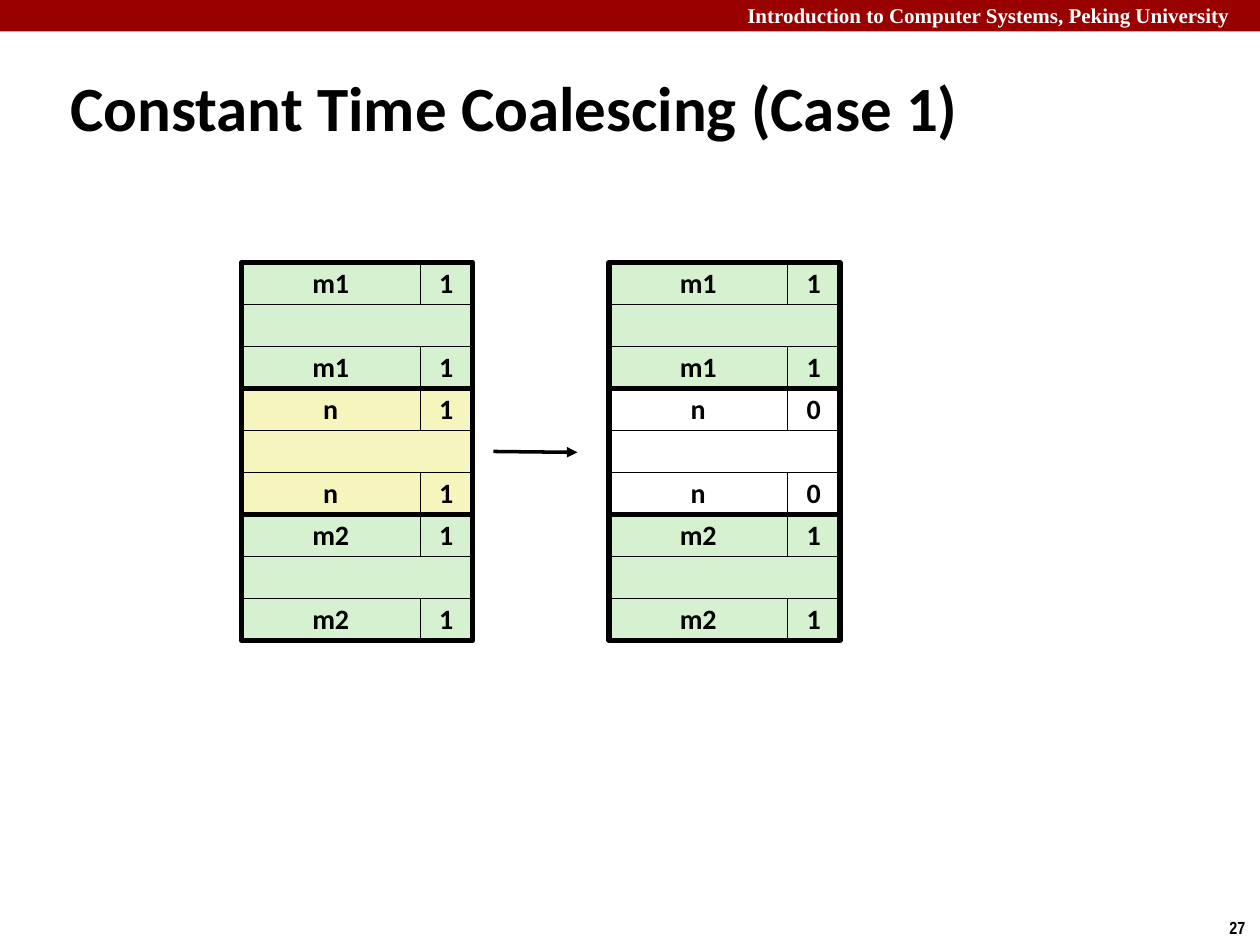
"""Builds the slide on constant time coalescing, case 1."""
import pptx
import pptx.dml.color
import pptx.enum.shapes
import pptx.enum.text
import pptx.oxml
import pptx.oxml.ns
import pptx.util

Pt = pptx.util.Pt
ALIGN = pptx.enum.text.PP_ALIGN
ANCHOR = pptx.enum.text.MSO_ANCHOR

COLORS = {
    "banner": "990000",
    "black": "000000",
    "white": "FFFFFF",
    "neighbour": "D5F1CF",
    "freed": "F6F5BD",
}
ROW_HEIGHT = 24
SIZE_WIDTH = 102
FLAG_WIDTH = 30
BLOCK_WIDTH = SIZE_WIDTH + FLAG_WIDTH
BLOCK_HEIGHT = 3 * ROW_HEIGHT
HEAP_TOP = 150


def color(name):
    """Return the named colour."""
    return pptx.dml.color.RGBColor.from_string(COLORS[name])


def format_paragraph(para, size, font="Calibri", ink="black", align=ALIGN.LEFT):
    """Set the bold font and the alignment of a paragraph."""
    para.alignment = align
    para.font.name = font
    para.font.size = Pt(size)
    para.font.bold = True
    para.font.color.rgb = color(ink)


def add_title(page, text):
    """Place and format the title placeholder."""
    title = page.shapes.title
    title.left, title.top, title.width, title.height = Pt(33), Pt(38), Pt(654), Pt(45)
    frame = title.text_frame
    frame.text = text
    frame.auto_size = pptx.enum.text.MSO_AUTO_SIZE.NONE
    frame.vertical_anchor = ANCHOR.MIDDLE
    format_paragraph(frame.paragraphs[0], 36)


def add_label(page, left, top, width, height, text, size, font, ink="black", wrap=True):
    """Add a text box with one paragraph."""
    box = page.shapes.add_textbox(Pt(left), Pt(top), Pt(width), Pt(height))
    frame = box.text_frame
    frame.word_wrap = wrap
    frame.text = text
    format_paragraph(frame.paragraphs[0], size, font, ink)


def add_rectangle(page, left, top, width, height, fill=None, line_width=None):
    """Add a rectangle, with no fill or no outline where none is given."""
    box = page.shapes.add_shape(
        pptx.enum.shapes.MSO_SHAPE.RECTANGLE, Pt(left), Pt(top), Pt(width), Pt(height))
    box.shadow.inherit = False
    if fill:
        box.fill.solid()
        box.fill.fore_color.rgb = color(fill)
    else:
        box.fill.background()
    if line_width:
        box.line.color.rgb = color("black")
        box.line.width = Pt(line_width)
    else:
        box.line.fill.background()
    return box


def add_cell(page, left, top, width, fill, text=""):
    """Add one thinly outlined cell of a memory block."""
    box = add_rectangle(page, left, top, width, ROW_HEIGHT, fill, 0.25)
    if text:
        frame = box.text_frame
        frame.word_wrap = False
        frame.vertical_anchor = ANCHOR.MIDDLE
        frame.text = text
        para = frame.paragraphs[0]
        para.line_spacing = 0.98
        format_paragraph(para, 16, align=ALIGN.CENTER)


def add_block(page, left, top, size, flag, fill):
    """Add a block with header, payload, footer and a thick frame."""
    for row in (0, 2):
        row_top = top + row * ROW_HEIGHT
        add_cell(page, left, row_top, SIZE_WIDTH, fill, size)
        add_cell(page, left + SIZE_WIDTH, row_top, FLAG_WIDTH, fill, flag)
    add_cell(page, left, top + ROW_HEIGHT, BLOCK_WIDTH, fill)
    add_rectangle(page, left, top, BLOCK_WIDTH, BLOCK_HEIGHT, line_width=3)


def add_heap(page, left, middle_flag, middle_fill):
    """Stack the middle block between its two allocated neighbours."""
    blocks = [
        ("m1", "1", "neighbour"),
        ("n", middle_flag, middle_fill),
        ("m2", "1", "neighbour"),
    ]
    for index, block in enumerate(blocks):
        add_block(page, left, HEAP_TOP + index * BLOCK_HEIGHT, *block)


def add_arrow(page, start_x, start_y, end_x, end_y):
    """Add a straight arrow."""
    arrow = page.shapes.add_connector(
        pptx.enum.shapes.MSO_CONNECTOR.STRAIGHT,
        Pt(start_x), Pt(start_y), Pt(end_x), Pt(end_y))
    arrow.line.color.rgb = color("black")
    arrow.line.width = Pt(2)
    namespace = pptx.oxml.ns.nsdecls("a")
    arrow.line._get_or_add_ln().append(
        pptx.oxml.parse_xml(f'<a:tailEnd {namespace} type="triangle"/>'))
    arrow._element.spPr.append(pptx.oxml.parse_xml(f"<a:effectLst {namespace}/>"))


def main():
    """Build and save the deck."""
    deck = pptx.Presentation()
    deck.slide_width, deck.slide_height = Pt(720), Pt(540)
    page = deck.slides.add_slide(deck.slide_layouts[5])
    add_rectangle(page, 0, 0, 720, 18, "banner")
    add_label(page, 420, -2, 305, 22, "Introduction to Computer Systems, Peking University",
              12, "Times New Roman", "white")
    add_title(page, "Constant Time Coalescing (Case 1)")
    add_heap(page, 138, "1", "freed")
    add_heap(page, 348, "0", "white")
    add_arrow(page, 282, 258, 330, 258.5)
    add_label(page, 695.5, 520.5, 24.5, 19.5, "27", 10, "Arial Narrow", wrap=False)
    deck.save("out.pptx")


if __name__ == "__main__":
    main()
